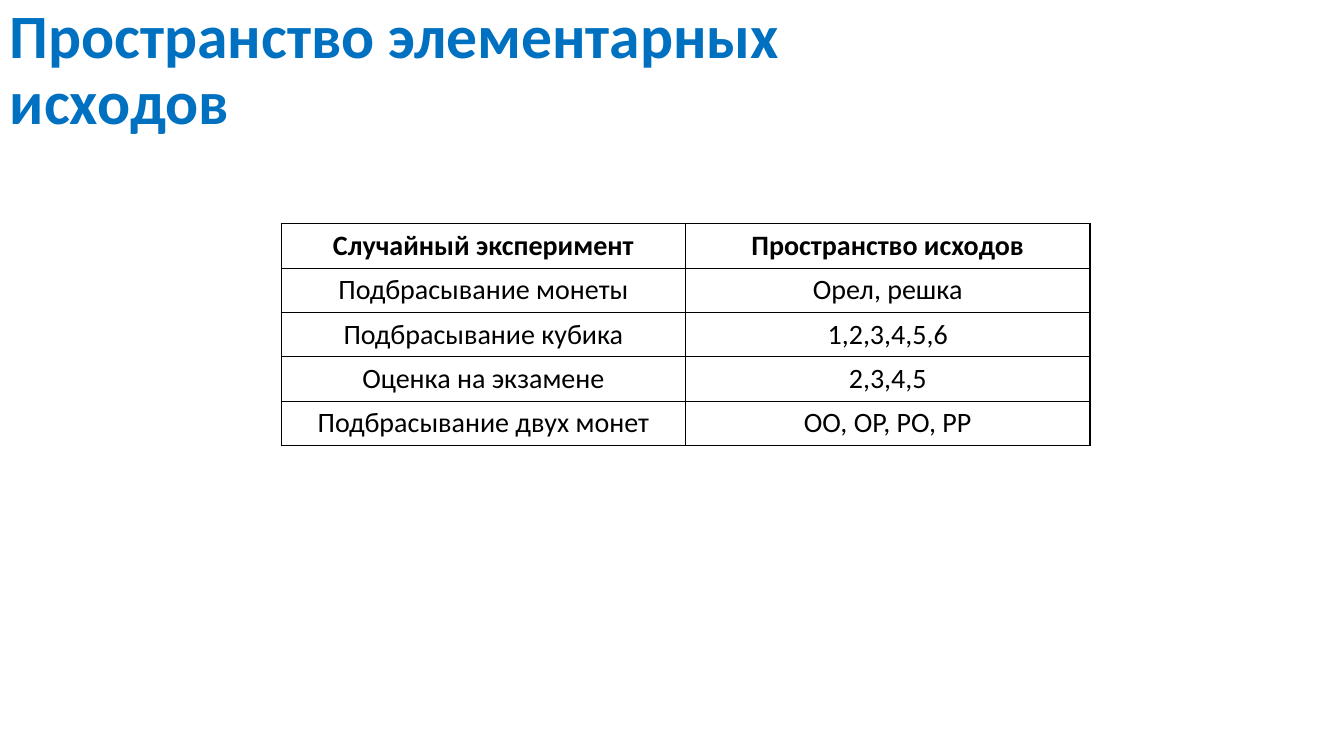
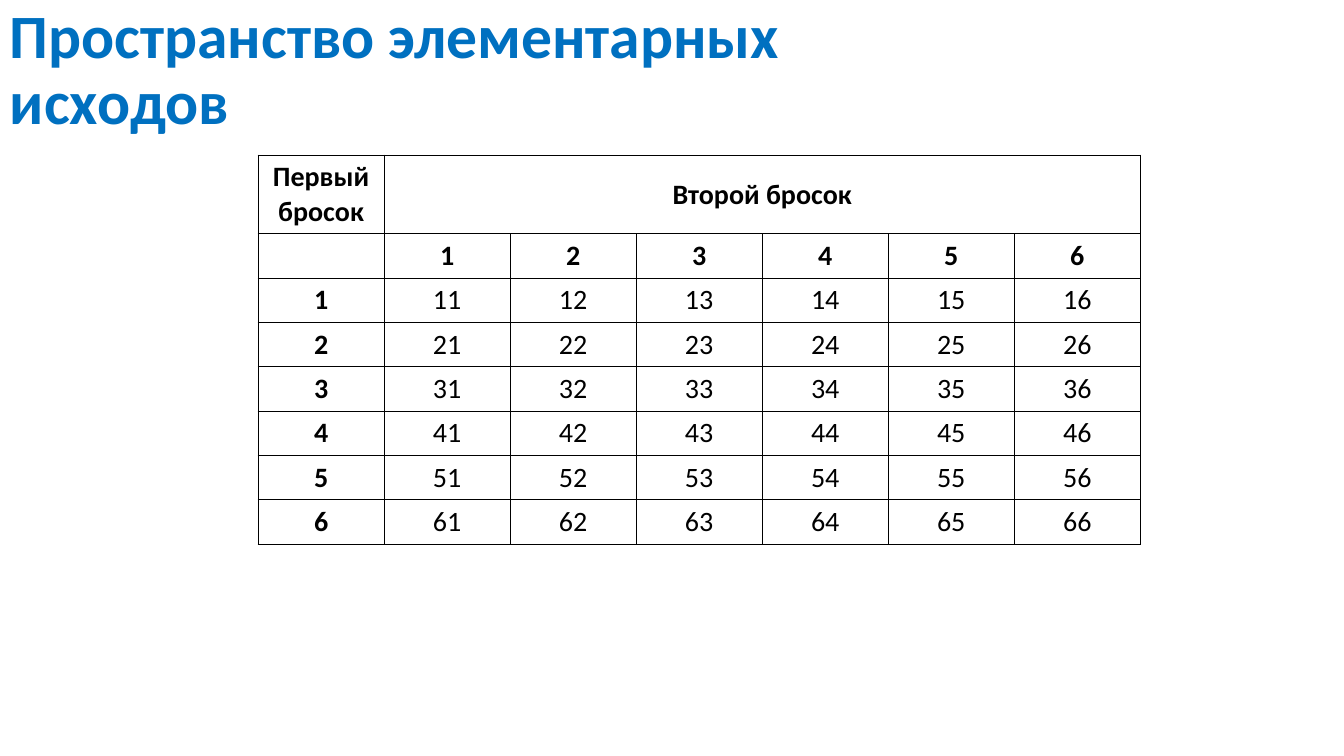
from lxml.etree import SubElement
from pptx import Presentation
from pptx.dml.color import RGBColor
from pptx.enum.text import MSO_ANCHOR as Anchor, PP_ALIGN as Align
from pptx.oxml.ns import qn
from pptx.util import Inches, Pt

BLUE = RGBColor(0x00, 0x70, 0xC0)
BLACK = RGBColor(0x00, 0x00, 0x00)
FONT = "Calibri"
ROW_HEIGHT = 0.44

TITLE = "Пространство элементарных исходов"
EXPERIMENTS = [
    ("Случайный эксперимент", "Пространство исходов"),
    ("Подбрасывание монеты", "Орел, решка"),
    ("Подбрасывание кубика", "1,2,3,4,5,6"),
    ("Оценка на экзамене", "2,3,4,5"),
    ("Подбрасывание двух монет", "ОО, ОP, РО, РР"),
]
FACES = [str(face) for face in range(1, 7)]
THROWS = [
    ["Первый\nбросок", "Второй бросок"] + [""] * 5,
    [""] + FACES,
    *([first] + [first + second for second in FACES] for first in FACES),
]


def write_text(frame, text, size, color, bold=False, align=Align.LEFT, line_spacing=None):
    frame.text = text
    for paragraph in frame.paragraphs:
        paragraph.alignment = align
        paragraph.line_spacing = line_spacing
        for font in [paragraph.font] + [run.font for run in paragraph.runs]:
            font.name = FONT
            font.size = Pt(size)
            font.bold = bold
            font.color.rgb = color


def add_titled_slide(presentation):
    slide = presentation.slides.add_slide(presentation.slide_layouts[6])
    title = slide.shapes.add_textbox(0, 0, Inches(10), Inches(0.68))
    title.text_frame.word_wrap = True
    title.text_frame.vertical_anchor = Anchor.TOP
    write_text(title.text_frame, TITLE, 44, BLUE, bold=True, line_spacing=0.9)
    return slide


def set_borders(cell, color=BLACK, width=1):
    properties = cell._tc.get_or_add_tcPr()
    for side in ("lnL", "lnR", "lnT", "lnB"):
        line = SubElement(properties, qn(f"a:{side}"), w=str(Pt(width)))
        fill = SubElement(line, qn("a:solidFill"))
        SubElement(fill, qn("a:srgbClr"), val=str(color))


def add_grid(slide, rows, left, top, column_width, header_rows=1, header_columns=0,
             first_row_height=ROW_HEIGHT):
    """Add a bordered table with equal columns and bold header rows and columns."""
    row_count, column_count = len(rows), len(rows[0])
    height = first_row_height + ROW_HEIGHT * (row_count - 1)
    table = slide.shapes.add_table(
        row_count, column_count, Inches(left), Inches(top),
        Inches(column_width * column_count), Inches(height)).table
    table.first_row = table.horz_banding = False
    for column in table.columns:
        column.width = Inches(column_width)
    for row_index, values in enumerate(rows):
        table.rows[row_index].height = Inches(ROW_HEIGHT if row_index else first_row_height)
        for column_index, value in enumerate(values):
            cell = table.cell(row_index, column_index)
            is_header = row_index < header_rows or column_index < header_columns
            write_text(cell.text_frame, value, 20, BLACK, bold=is_header, align=Align.CENTER)
            cell.vertical_anchor = Anchor.MIDDLE
            set_borders(cell)
            cell.fill.background()
    return table


def main():
    presentation = Presentation()
    presentation.slide_width = Inches(13.33)
    presentation.slide_height = Inches(7.5)

    add_grid(add_titled_slide(presentation), EXPERIMENTS, 2.79, 2.22, 4.01)

    throws = add_grid(add_titled_slide(presentation), THROWS, 2.56, 1.54, 1.25,
                      header_rows=2, header_columns=1, first_row_height=0.78)
    throws.cell(0, 1).merge(throws.cell(0, len(FACES)))

    presentation.save("out.pptx")


if __name__ == "__main__":
    main()
